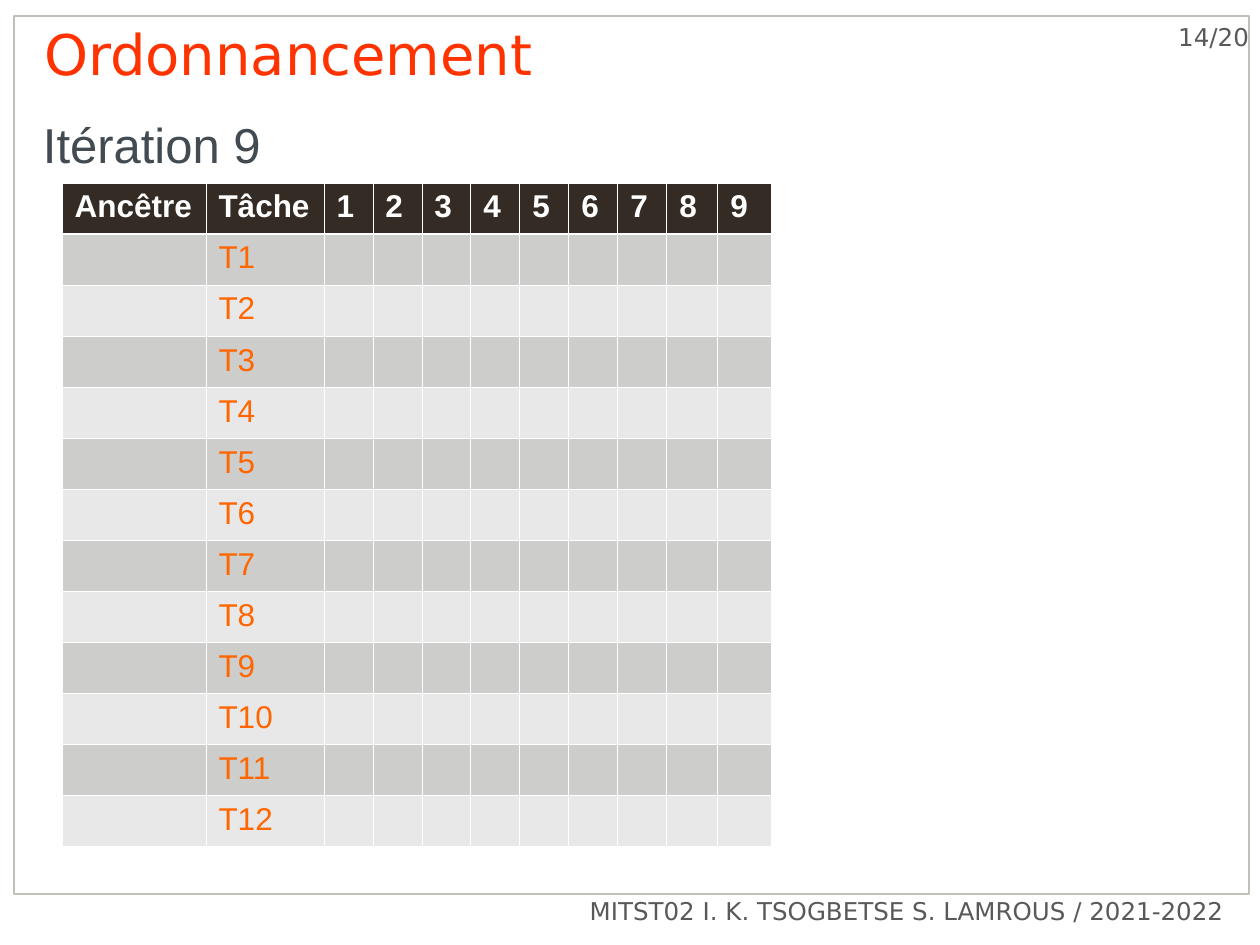
"""Build the scheduling slide for iteration 9 with its empty task table."""
from lxml import etree
from pptx import Presentation
from pptx import util as u
from pptx.dml.color import RGBColor
from pptx.enum import shapes, text
from pptx.oxml import ns

SCALE = u.Inches(1) / 126
THEME = {
    "title": "FF3300", "subtitle": "424A52", "footer": "595959", "frame": "C2BFB8",
    "header": "332B24", "header_text": "FFFFFF", "task": "FF6600", "border": "FFFFFF",
    "bands": ("CDCDCC", "E8E8E8"),
    "heading_font": "DejaVu Sans", "body_font": "Arial",
    "title_size": 32, "subtitle_size": 28, "table_size": 18, "footer_size": 14,
    "thin": 0.45, "thick": 1.47,
}


def px(length):
    return u.Emu(round(length * SCALE))


def style(paragraph, font_name, size, color, bold=False):
    font = paragraph.font
    font.name, font.size, font.bold = font_name, u.Pt(size), bold
    font.color.rgb = RGBColor.from_string(color)


presentation = Presentation()
presentation.slide_width, presentation.slide_height = px(1260), px(945)
slide = presentation.slides.add_slide(presentation.slide_layouts[6])

frame = slide.shapes.add_shape(shapes.MSO_SHAPE.RECTANGLE, px(14), px(16), px(1235), px(878))
frame.shadow.inherit = False
frame.fill.background()
frame.line.color.rgb = RGBColor.from_string(THEME["frame"])
frame.line.width = u.Pt(1.5)

LEFT, RIGHT = text.PP_ALIGN.LEFT, text.PP_ALIGN.RIGHT
TOP, MIDDLE = text.MSO_ANCHOR.TOP, text.MSO_ANCHOR.MIDDLE
labels = [
    ("14/20", (1108, 16, 141, 76), (15, 6, 0, 6), RIGHT, TOP, "heading_font", "footer"),
    ("MITST02 I. K. TSOGBETSE S. LAMROUS / 2021-2022", (365, 890, 872, 82),
     (13, 6, 13, 6), RIGHT, TOP, "heading_font", "footer"),
    ("Ordonnancement", (44, 31, 1026, 73), (0, 0, 13, 6), LEFT, TOP, "heading_font", "title"),
    ("Itération 9", (30, 105, 1200, 78), (13, 6, 13, 6), LEFT, MIDDLE, "body_font", "subtitle"),
]
for wording, box, insets, alignment, anchor, font_key, role in labels:
    shape = slide.shapes.add_textbox(*map(px, box))
    text_frame = shape.text_frame
    text_frame.word_wrap = True
    text_frame.vertical_anchor = anchor
    (text_frame.margin_left, text_frame.margin_top,
     text_frame.margin_right, text_frame.margin_bottom) = map(px, insets)
    text_frame.text = wording
    paragraph = text_frame.paragraphs[0]
    paragraph.alignment = alignment
    if role == "title":
        paragraph.line_spacing = u.Pt(THEME["title_size"])
    style(paragraph, THEME[font_key], THEME[f"{role}_size"], THEME[role])

headers = ["Ancêtre", "Tâche"] + [str(number) for number in range(1, 10)]
tasks = [f"T{number}" for number in range(1, 13)]
rows = [headers] + [["", task] + [""] * 9 for task in tasks]
column_widths = [144, 118] + [49] * 7 + [51, 54]
table_height = 664

table = slide.shapes.add_table(len(rows), len(headers), px(62), px(183),
                               px(sum(column_widths)), px(table_height)).table
for column, width in zip(table.columns, column_widths):
    column.width = px(width)
for row in table.rows:
    row.height = px(table_height / len(rows))

for row_index, values in enumerate(rows):
    is_header = row_index == 0
    fill = THEME["header"] if is_header else THEME["bands"][(row_index - 1) % 2]
    color = THEME["header_text"] if is_header else THEME["task"]
    for column_index, value in enumerate(values):
        cell = table.cell(row_index, column_index)
        cell.text = value
        style(cell.text_frame.paragraphs[0], THEME["body_font"], THEME["table_size"],
              color, is_header)
        properties = cell._tc.get_or_add_tcPr()
        for side in "LRTB":
            under_header = (row_index, side) in ((0, "B"), (1, "T"))
            width = u.Pt(THEME["thick" if under_header else "thin"])
            border = etree.SubElement(properties, ns.qn(f"a:ln{side}"), w=str(width))
            solid = etree.SubElement(border, ns.qn("a:solidFill"))
            etree.SubElement(solid, ns.qn("a:srgbClr"), val=THEME["border"])
        cell.fill.solid()
        cell.fill.fore_color.rgb = RGBColor.from_string(fill)

presentation.save("out.pptx")
